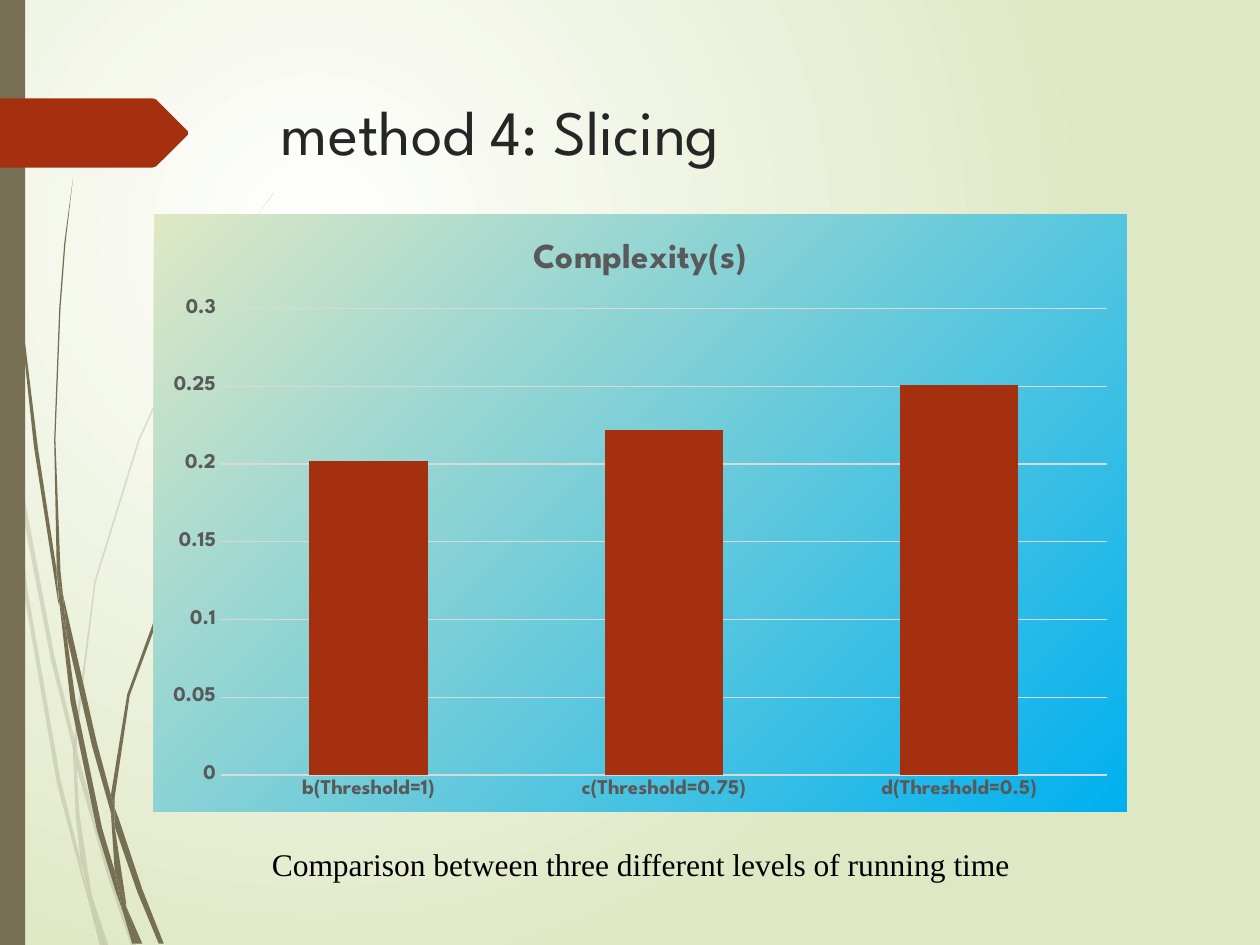
from lxml import etree
from pptx import Presentation
from pptx.chart.data import CategoryChartData
from pptx.dml.color import RGBColor
from pptx.enum.chart import XL_CHART_TYPE as ChartType, XL_TICK_MARK as TickMark
from pptx.enum.shapes import MSO_SHAPE as Preset
from pptx.enum.text import MSO_ANCHOR as Anchor, MSO_AUTO_SIZE as AutoSize, PP_ALIGN as Align
from pptx.oxml import parse_xml
from pptx.oxml.ns import nsdecls, qn
from pptx.util import Cm, Pt

COLORS = {
    "white": "FFFFFF", "pale": "DFE8C4", "sky": "00B0F0", "olive": "766F54",
    "rust": "A53010", "heading": "262626", "label": "595959", "grid": "D9D9D9", "black": "000000",
}
HEADING_FONT, CAPTION_FONT = "League Spartan", "Times New Roman"
TITLE = "method 4: Slicing"
CAPTION = "Comparison between three different levels of running time"
SERIES = "Complexity(s)"
RUNNING_TIMES = {"b(Threshold=1)": 0.202, "c(Threshold=0.75)": 0.222, "d(Threshold=0.5)": 0.251}

# Outlines are in hundredths of an inch.
UNIT = Cm(2.54) / 100
FADED_WISPS = [
    [(8, 350), (6, 322), (0, 282), (0, 299), (7, 344)],
    [(40, 522), (59, 599), (59, 586), (43, 520), (10, 345), (12, 376)],
    [(64, 607), (61, 596), (61, 610), (85, 694), (104, 750), (108, 750), (88, 692)],
    [(83, 750), (86, 750), (73, 711)],
    [(64, 683), (48, 619), (22, 469), (12, 376), (8, 350), (19, 470), (45, 621), (64, 693),
     (70, 714), (69, 707)],
    [(58, 599), (60, 646), (64, 683), (67, 692), (73, 711), (72, 706), (63, 646), (61, 610),
     (61, 608)],
    [(61, 584), (76, 462), (111, 349), (159, 245), (187, 198), (201, 175), (217, 154), (217, 153),
     (201, 175), (186, 197), (158, 244), (110, 348), (75, 461), (59, 584), (59, 586), (61, 596)],
    [(70, 714), (79, 750), (82, 750)],
    [(61, 608), (61, 610), (61, 596), (59, 586), (58, 599)],
    [(67, 692), (65, 683), (69, 707), (70, 714), (82, 750), (83, 750), (73, 711)],
]
STRONG_WISPS = [
    [(5, 110), (14, 233), (27, 355), (46, 477), (47, 481), (45, 457), (45, 453), (30, 355),
     (15, 232), (6, 109), (4, 48), (3, 0), (2, 0), (3, 48)],
    [(73, 592), (88, 645), (88, 633), (88, 631), (77, 590), (50, 472), (53, 505)],
    [(94, 649), (91, 641), (91, 656), (109, 708), (126, 749), (130, 749), (113, 706)],
    [(91, 691), (81, 657), (60, 556), (53, 505), (47, 477), (56, 557), (77, 659), (92, 708),
     (97, 722), (96, 717)],
    [(50, 472), (48, 453), (44, 349), (48, 245), (52, 193), (58, 141), (51, 193), (47, 245),
     (43, 349), (45, 449), (49, 472)],
    [(110, 749), (113, 749), (100, 719)],
    [(47, 477), (53, 505), (50, 472), (49, 472), (45, 449), (45, 453)],
    [(91, 633), (103, 552), (131, 476), (169, 406), (191, 374), (203, 359), (216, 344), (215, 344),
     (203, 358), (191, 373), (168, 405), (129, 474), (101, 551), (88, 631), (91, 641)],
    [(97, 722), (105, 749), (108, 749)],
    [(88, 645), (91, 691), (96, 706), (100, 719), (100, 716), (91, 656), (90, 651)],
    [(88, 645), (90, 651), (91, 656), (91, 641), (88, 631), (88, 633)],
    [(96, 706), (91, 691), (96, 717), (97, 722), (108, 749), (110, 749), (100, 719)],
]
ARROW_TAG = [(149, 107), (124, 132), (121, 133), (0, 133), (0, 78), (121, 78), (124, 79), (149, 104)]


def rgb(name):
    return RGBColor.from_string(COLORS[name])


def circular_gradient(inner, outer, left_top, right_bottom):
    """Gradient spreading from a focus rectangle whose insets are percentages."""
    near, far = left_top * 1000, right_bottom * 1000
    return parse_xml(
        f'<a:gradFill {nsdecls("a")} rotWithShape="1"><a:gsLst>'
        f'<a:gs pos="0"><a:srgbClr val="{COLORS[inner]}"/></a:gs>'
        f'<a:gs pos="100000"><a:srgbClr val="{COLORS[outer]}"/></a:gs></a:gsLst>'
        f'<a:path path="circle"><a:fillToRect l="{near}" t="{near}" r="{far}" b="{far}"/></a:path>'
        '</a:gradFill>')


def paint(shape, color, opacity=100):
    shape.shadow.inherit = False
    shape.fill.solid()
    shape.fill.fore_color.rgb = rgb(color)
    shape.line.fill.background()
    if opacity < 100:
        value = next(shape.element.spPr.iter(qn("a:srgbClr")))
        etree.SubElement(value, qn("a:alpha")).set("val", str(opacity * 1000))


def add_outline(slide, points, color, opacity=100):
    builder = slide.shapes.build_freeform(*points[0], scale=UNIT)
    builder.add_line_segments(points[1:], close=True)
    paint(builder.convert_to_shape(), color, opacity)


def style_font(font, size, color, name=HEADING_FONT, bold=False):
    font.size, font.name, font.bold = Pt(size), name, bold
    font.color.rgb = rgb(color)


def write(frame, text, size, color, name=HEADING_FONT, align=Align.LEFT, wrap=True):
    frame.word_wrap = wrap
    frame.vertical_anchor = Anchor.TOP
    paragraph = frame.paragraphs[0]
    paragraph.alignment = align
    run = paragraph.add_run()
    run.text = text
    style_font(run.font, size, color, name)


def add_running_time_chart(slide):
    data = CategoryChartData()
    data.categories = list(RUNNING_TIMES)
    data.add_series(SERIES, list(RUNNING_TIMES.values()))
    chart = slide.shapes.add_chart(
        ChartType.COLUMN_CLUSTERED, Cm(3.1), Cm(4.32), Cm(19.61), Cm(12.04), data).chart
    style_font(chart.font, 10, "black")
    chart.has_legend = False
    chart.has_title = True
    title = chart.chart_title.text_frame
    title.text = SERIES
    style_font(title.paragraphs[0].runs[0].font, 20, "label", bold=True)

    for axis in (chart.category_axis, chart.value_axis):
        axis.major_tick_mark = axis.minor_tick_mark = TickMark.NONE
        axis.format.line.fill.background()
        style_font(axis.tick_labels.font, 12, "label", bold=True)
    values = chart.value_axis
    values.minimum_scale, values.maximum_scale, values.major_unit = 0, 0.3, 0.05
    grid = values.major_gridlines.format.line
    grid.color.rgb, grid.width = rgb("grid"), Pt(0.75)

    plot = chart.plots[0]
    plot.gap_width, plot.vary_by_categories = 150, False
    bars = plot.series[0].format.fill
    bars.solid()
    bars.fore_color.rgb = rgb("rust")

    area = parse_xml(f'<c:spPr {nsdecls("c", "a")}><a:ln><a:noFill/></a:ln></c:spPr>')
    area.insert(0, circular_gradient("sky", "pale", 100, 0))
    chart.element.find(qn("c:chart")).addnext(area)


def main():
    presentation = Presentation()
    presentation.slide_width, presentation.slide_height = Cm(25.4), Cm(19.05)
    slide = presentation.slides.add_slide(presentation.slide_layouts[5])
    slide.background.fill.gradient()
    default = next(slide.element.iter(qn("a:gradFill")))
    default.getparent().replace(default, circular_gradient("white", "pale", 50, 100))

    for points in FADED_WISPS:
        add_outline(slide, points, "olive", opacity=20)
    for points in STRONG_WISPS:
        add_outline(slide, points, "olive")
    side_bar = slide.shapes.add_shape(Preset.RECTANGLE, 0, 0, Cm(0.51), presentation.slide_height)
    paint(side_bar, "olive")
    add_outline(slide, ARROW_TAG, "rust")

    title = slide.shapes.title
    title.left, title.top, title.width, title.height = Cm(5.41), Cm(1.73), Cm(18.31), Cm(3.56)
    write(title.text_frame, TITLE, 36, "heading")
    slide.shapes.element.append(title.element)

    add_running_time_chart(slide)
    caption = slide.shapes.add_textbox(Cm(5.23), Cm(16.92), Cm(15.54), Cm(1.02)).text_frame
    write(caption, CAPTION, 18, "black", CAPTION_FONT, wrap=False)
    caption.auto_size = AutoSize.SHAPE_TO_FIT_TEXT
    presentation.save("out.pptx")


if __name__ == "__main__":
    main()
